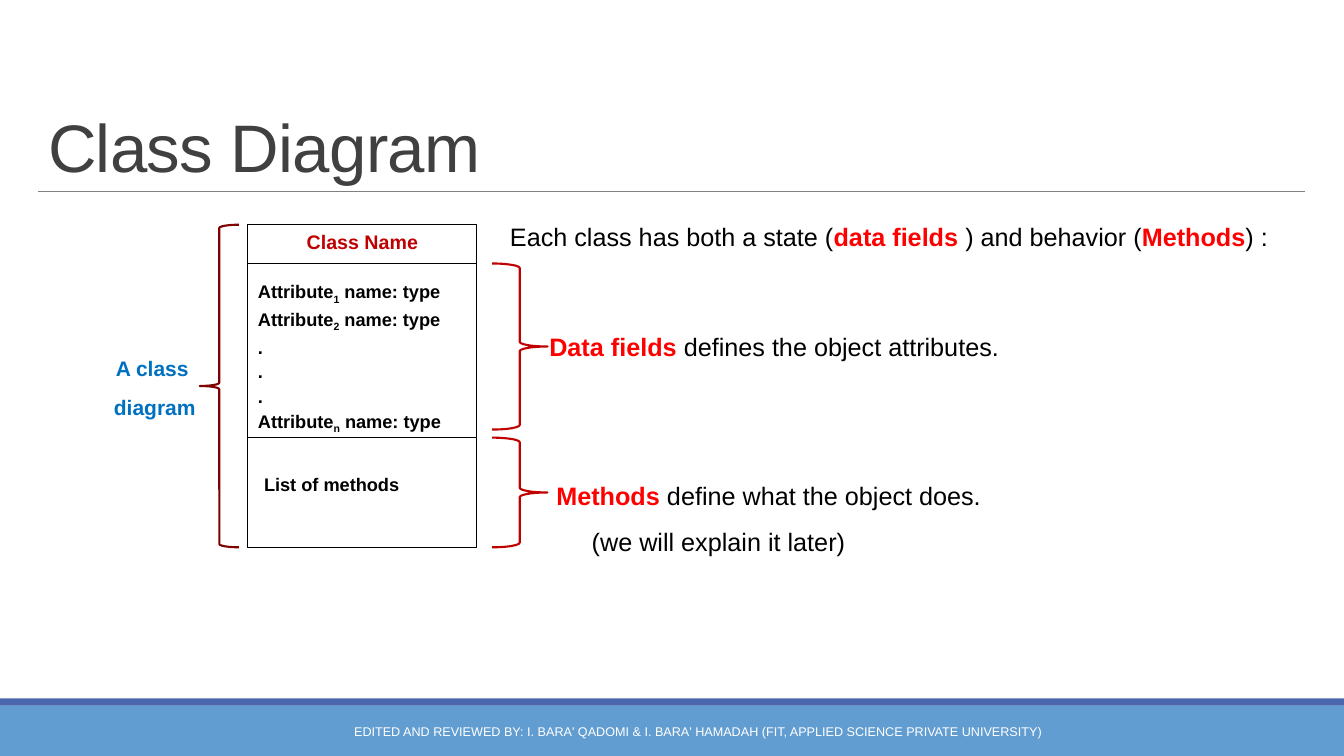
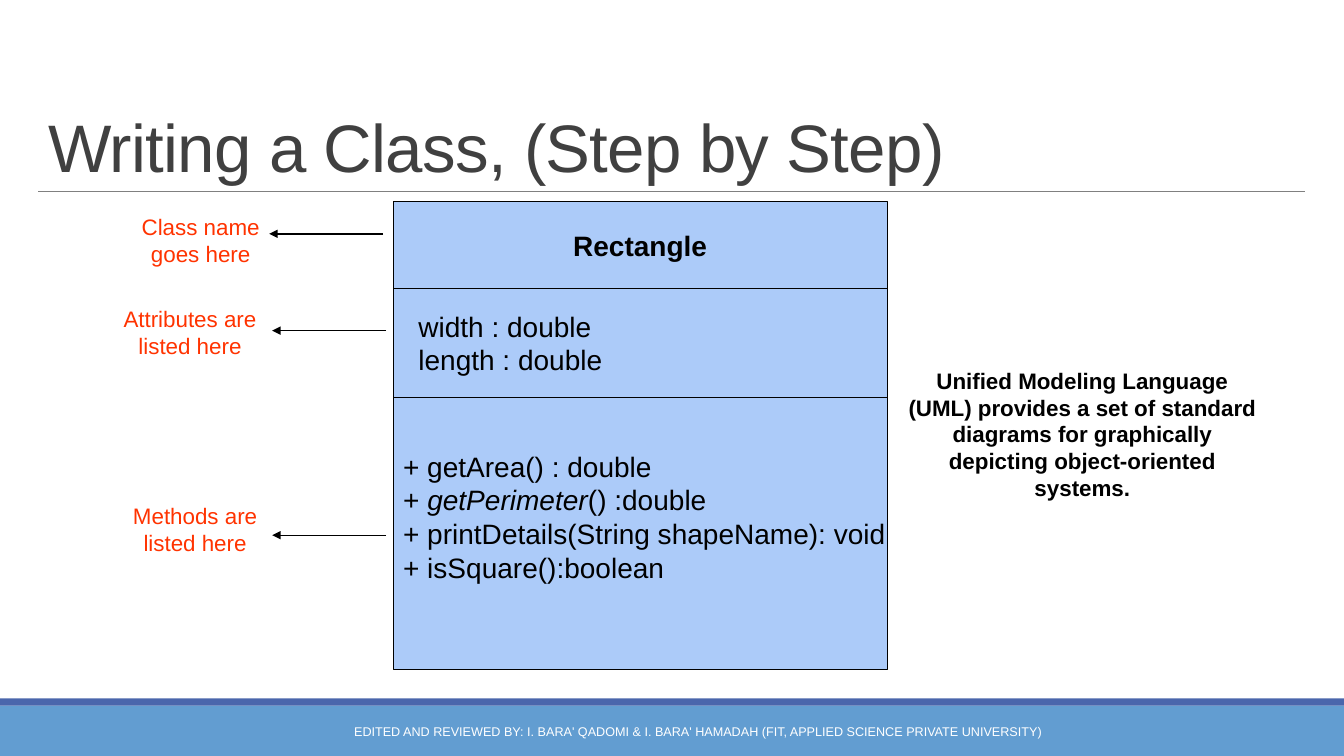
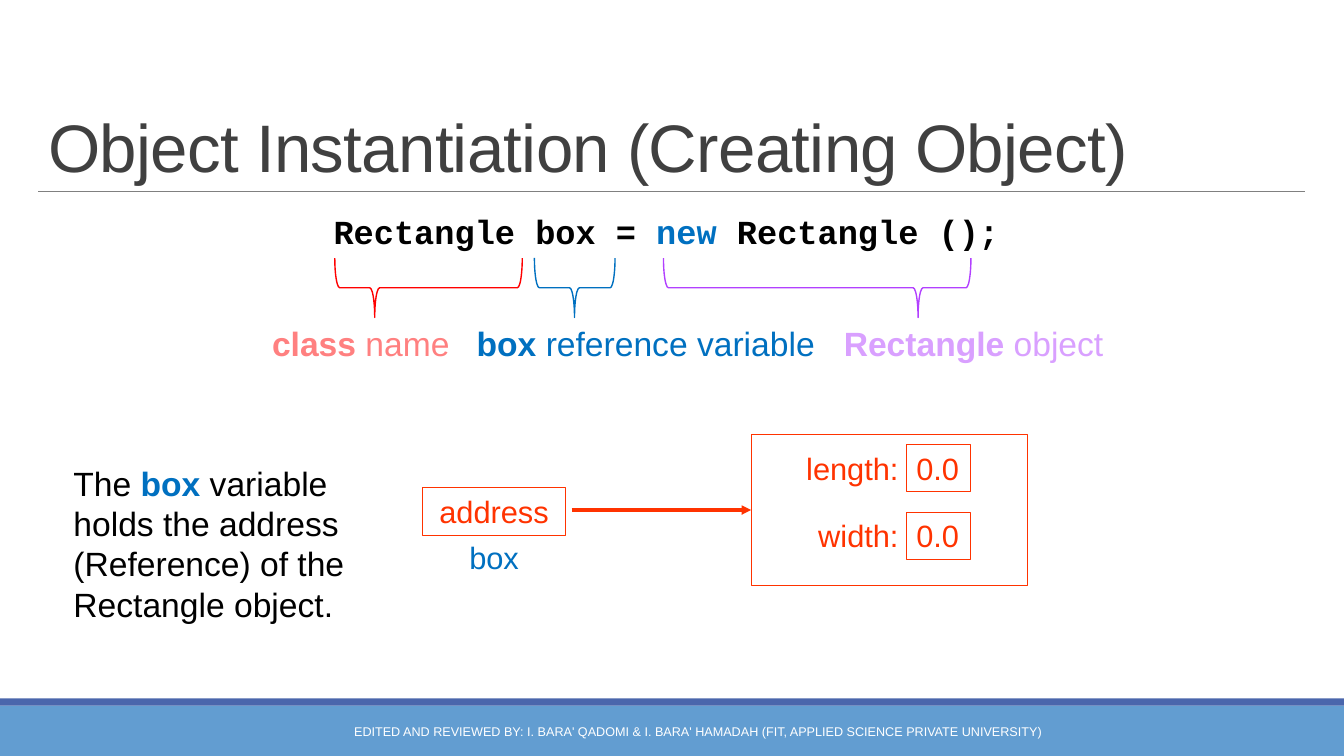
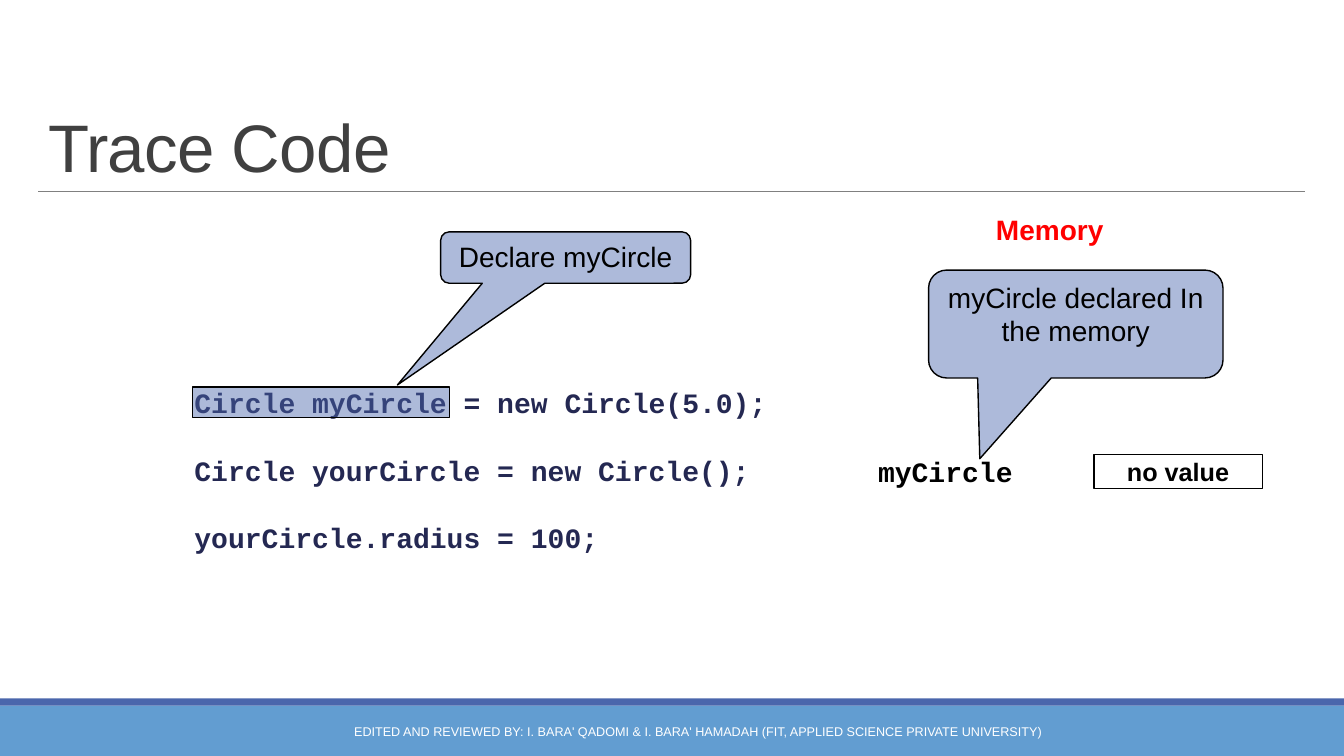
from dataclasses import dataclass

import pptx
import pptx.dml.color
import pptx.enum.shapes
import pptx.enum.text
import pptx.oxml.ns
import pptx.util
from lxml import etree

SHAPE = pptx.enum.shapes.MSO_SHAPE
ALIGN = pptx.enum.text.PP_ALIGN
ANCHOR = pptx.enum.text.MSO_ANCHOR


@dataclass(frozen=True)
class Theme:
    columns: float = 13.33  # the slide grid has cells of one inch
    rows: float = 7.5
    sans: str = "Arial"
    mono: str = "Courier New"
    title_size: int = 48
    footer_size: int = 9
    lead_size: int = 24
    field_size: int = 22
    body_size: int = 20
    note_size: int = 18
    label_size: int = 16
    side_size: int = 15
    name_size: int = 14
    member_size: int = 13
    title: str = "404040"
    rule: str = "808080"
    footer_band: str = "629DD1"
    accent: str = "4A66AC"
    white: str = "FFFFFF"
    black: str = "000000"
    red: str = "FF0000"
    crimson: str = "C00000"
    maroon: str = "800000"
    orange: str = "FF3300"
    pink: str = "FF8080"
    blue: str = "0070C0"
    navy: str = "242852"
    card: str = "ACCBF9"
    callout: str = "ADBADA"
    violet: str = "B240FF"
    lilac: str = "D9A0FF"


THEME = Theme()
FOOTER = ("EDITED AND REVIEWED BY: I. BARA' QADOMI & I. BARA' HAMADAH "
          "(FIT, APPLIED SCIENCE PRIVATE UNIVERSITY)")


@dataclass(frozen=True)
class Box:
    """An area of the slide grid, in columns and rows."""
    left: float
    top: float
    width: float
    height: float

    @property
    def right(self):
        return self.left + self.width

    @property
    def middle(self):
        return self.top + self.height / 2

    def row(self, share):
        return self.top + share * self.height

    def area(self, column, row, width, height):
        return Box(self.left + column, self.top + row, width, height)

    def emu(self):
        return [pptx.util.Inches(n) for n in
                (self.left, self.top, self.width, self.height)]


@dataclass(frozen=True)
class Run:
    """Text that differs from the rest of its paragraph."""
    text: str
    color: str = ""
    bold: bool = False
    italic: bool = False
    subscript: bool = False


def rgb(color):
    return pptx.dml.color.RGBColor.from_string(color)


def write(shape, paragraphs, size, color=THEME.black, font=THEME.sans,
          bold=False, align=ALIGN.LEFT, anchor=ANCHOR.TOP,
          insets=(0.1, 0.05, 0.1, 0.05)):
    """Fill a shape with paragraphs, each a string or a list of runs."""
    frame = shape.text_frame
    frame.word_wrap = True
    frame.vertical_anchor = anchor
    (frame.margin_left, frame.margin_top, frame.margin_right,
     frame.margin_bottom) = [pptx.util.Inches(n) for n in insets]
    for index, content in enumerate(paragraphs):
        paragraph = frame.add_paragraph() if index else frame.paragraphs[0]
        paragraph.alignment = align
        for piece in [content] if isinstance(content, str) else content:
            piece = Run(piece) if isinstance(piece, str) else piece
            run = paragraph.add_run()
            run.text = piece.text
            run.font.name = font
            run.font.size = pptx.util.Pt(size)
            run.font.bold = bold or piece.bold
            run.font.italic = piece.italic
            run.font.color.rgb = rgb(piece.color or color)
            if piece.subscript:
                run.font._element.set("baseline", "-25000")
    return frame


def text(slide, box, paragraphs, size, **style):
    return write(slide.shapes.add_textbox(*box.emu()), paragraphs, size, **style)


def draw(slide, kind, box, fill=None, line=None, weight=0.75, adjust=()):
    shape = slide.shapes.add_shape(kind, *box.emu())
    shape.shadow.inherit = False
    for index, value in enumerate(adjust):
        shape.adjustments[index] = value
    if fill:
        shape.fill.solid()
        shape.fill.fore_color.rgb = rgb(fill)
    else:
        shape.fill.background()
    if line:
        shape.line.color.rgb = rgb(line)
        shape.line.width = pptx.util.Pt(weight)
    else:
        shape.line.fill.background()
    return shape


def connect(slide, start, end, color=THEME.black, weight=0.75, arrow=False):
    line = slide.shapes.add_connector(
        pptx.enum.shapes.MSO_CONNECTOR.STRAIGHT,
        *[pptx.util.Inches(n) for n in (*start, *end)])
    line.line.color.rgb = rgb(color)
    line.line.width = pptx.util.Pt(weight)
    properties = line._element.spPr
    if arrow:
        outline = properties.find(pptx.oxml.ns.qn("a:ln"))
        etree.SubElement(outline, pptx.oxml.ns.qn("a:tailEnd"), type="triangle")
    etree.SubElement(properties, pptx.oxml.ns.qn("a:effectLst"))
    return line


def brace_below(slide, box, color, point):
    """A downward brace; point is its tip as a share, counted from the right."""
    upright = Box(box.left + (box.width - box.height) / 2,
                  box.top + (box.height - box.width) / 2,
                  box.height, box.width)
    brace = draw(slide, SHAPE.RIGHT_BRACE, upright, line=color, weight=1,
                 adjust=(0.083, point))
    brace.rotation = 90


def new_slide(deck, title):
    """Start a slide with its title, rule and footer."""
    slide = deck.slides.add_slide(deck.slide_layouts[6])
    page = Box(0, 0, THEME.columns, THEME.rows)
    draw(slide, SHAPE.RECTANGLE, page.area(0, 7, page.width, 0.5),
         fill=THEME.footer_band)
    draw(slide, SHAPE.RECTANGLE, page.area(0, 6.93, page.width, 0.07),
         fill=THEME.accent)
    heading = page.area(0.38, 0.31, 12.56, 1.59)
    base = heading.row(1)
    connect(slide, (heading.left, base), (heading.right, base), THEME.rule, 0.5)
    frame = text(slide, heading, [title], THEME.title_size, color=THEME.title,
                 anchor=ANCHOR.BOTTOM)
    frame.paragraphs[0].line_spacing = 0.85
    frame.paragraphs[0].runs[0].font._element.set("spc", "-50")
    text(slide, page.area(3.11, 7.06, 7.62, 0.4), [FOOTER], THEME.footer_size,
         color=THEME.white, align=ALIGN.CENTER, anchor=ANCHOR.MIDDLE)
    return slide


def class_outline(slide, box):
    """The general class box, with braces around its sections."""
    def attribute(index):
        return ["Attribute", Run(index, subscript=True), " name: type"]

    outline = draw(slide, SHAPE.RECTANGLE, box, THEME.white, THEME.black)
    frame = write(outline, ["Class Name", attribute("1"), attribute("2"),
                            ".", ".", ".", attribute("n")],
                  THEME.member_size, bold=True)
    for paragraph in frame.paragraphs:
        paragraph.space_after = pptx.util.Pt(2)
    name = frame.paragraphs[0]
    name.alignment = ALIGN.CENTER
    name.space_after = pptx.util.Pt(19.5)
    name.runs[0].font.size = pptx.util.Pt(THEME.name_size)
    name.runs[0].font.color.rgb = rgb(THEME.crimson)

    fields, methods = box.row(0.12), box.row(0.66)
    for y in (fields, methods):
        connect(slide, (box.left, y), (box.right, y))
    text(slide, box.area(0.06, 2.42, 1.62, 0.32), ["List of methods"],
         THEME.member_size, bold=True)
    for top, bottom in ((fields, methods - 0.08), (methods, box.row(1))):
        draw(slide, SHAPE.RIGHT_BRACE,
             Box(box.right + 0.15, top, 0.55, bottom - top),
             line=THEME.crimson, weight=1.5)
    draw(slide, SHAPE.LEFT_BRACE, box.area(-0.48, 0, 0.39, box.height),
         line=THEME.maroon, weight=1.5)
    label = text(slide, box.area(-1.49, 1.25, 1.08, 0.75),
                 ["A class", "diagram"], THEME.side_size, color=THEME.blue,
                 bold=True, align=ALIGN.CENTER)
    for paragraph in label.paragraphs:
        paragraph.space_after = pptx.util.Pt(10)
    label.paragraphs[1]._p.get_or_add_pPr().set(
        "marL", str(pptx.util.Inches(0.05)))


def section_meanings(slide, box):
    def key(words):
        return Run(words, THEME.red, bold=True)

    text(slide, box.area(0, 0, box.width, 0.4),
         [["Each class has both a state (", key("data fields "),
           ") and behavior (", key("Methods"), ") :"]], THEME.note_size)
    text(slide, box.area(0.39, 1.09, 4.7, 0.4),
         [[key("Data fields "), "defines the object attributes."]],
         THEME.note_size)
    methods = text(slide, box.area(0.46, 2.42, 5.39, 0.96),
                   [[key("Methods"), " define what the object does."],
                    "(we will explain it later)"],
                   THEME.note_size, align=ALIGN.JUSTIFY)
    for paragraph in methods.paragraphs:
        paragraph.line_spacing = 1.5
    methods.paragraphs[1]._p.get_or_add_pPr().set(
        "marL", str(pptx.util.Inches(0.35)))


def class_card(slide, box):
    """The Rectangle class in three stacked sections."""
    sections = [
        (0.86, [[Run("Rectangle", bold=True)]], ALIGN.CENTER, 0.1, 0.1, 0.05),
        (1.08, ["width : double", "length : double"],
         ALIGN.LEFT, 0.25, 0, 0.05),
        (2.7, ["+ getArea() : double",
               ["+ ", Run("getPerimeter", italic=True), "() :double"],
               "+ printDetails(String shapeName): void",
               "+ isSquare():boolean"], ALIGN.LEFT, 0.1, 0, 0.38),
    ]
    top = 0
    for height, members, align, left, right, below in sections:
        section = draw(slide, SHAPE.RECTANGLE,
                       box.area(0, top, box.width, height),
                       THEME.card, THEME.black)
        write(section, members, THEME.body_size, align=align,
              anchor=ANCHOR.MIDDLE, insets=(left, 0.05, right, below))
        top += height


def card_labels(slide, box):
    """Labels with arrows that come from the class card on their right."""
    labels = [
        ("Class name goes here", 0.21, 0, 1.42, 0.25, 1.6),
        ("Attributes are listed here", 0, 0.91, 1.63, 0.3, 1.63),
        ("Methods are listed here", 0.14, 2.86, 1.45, 0.38, 1.63),
    ]
    for words, column, row, width, drop, tip in labels:
        text(slide, box.area(column, row, width, 0.64), [words],
             THEME.label_size, color=THEME.orange, align=ALIGN.CENTER)
        x, y = box.left + tip, box.top + row + drop
        connect(slide, (x + 1.13, y), (x, y), weight=1, arrow=True)


def statement(slide, box):
    """A line of code whose parts are named under braces."""
    text(slide, box.area(0.61, 0, 6.89, 0.75),
         [["Rectangle box = ", Run("new", THEME.blue), " Rectangle ();"]],
         THEME.lead_size, font=THEME.mono, bold=True)
    terms = [
        ("class", " name", THEME.pink, 0, 2.11, THEME.red, 0.72, 1.86, 0.787),
        ("box", " reference variable", THEME.blue, 2.03, 3.57,
         THEME.blue, 2.7, 0.8, 0.503),
        ("Rectangle", " object", THEME.lilac, 5.67, 2.88,
         THEME.violet, 3.98, 3.05, 0.172),
    ]
    for key, rest, color, column, width, line, start, span, point in terms:
        brace_below(slide, box.area(start, 0.52, span, 0.59), line, point)
        text(slide, box.area(column, 1.11, width, 0.5),
             [[Run(key, bold=True), rest]], THEME.lead_size, color=color)


def reference(slide, box):
    """A variable that holds the address of an object with two fields."""
    style = dict(size=THEME.field_size, color=THEME.orange)
    field_height = 0.47
    variable = box.area(0, 0.53, 1.42, field_height)
    write(draw(slide, SHAPE.RECTANGLE, variable, line=THEME.orange),
          ["address"], align=ALIGN.CENTER, **style)
    text(slide, variable.area(0, 0.46, variable.width, field_height), ["box"],
         THEME.field_size, color=THEME.blue, align=ALIGN.CENTER)

    target = box.area(3.26, 0, 2.74, box.height)
    instance = draw(slide, SHAPE.RECTANGLE, target, line=THEME.orange)
    pointer = connect(slide, (variable.right + 0.06, target.middle),
                      (target.left, target.middle), THEME.orange, 2.25, True)
    pointer.end_connect(instance, 1)
    for index, name in enumerate(("length:", "width:")):
        row = 0.1 + index * 0.67
        value = draw(slide, SHAPE.RECTANGLE,
                     target.area(1.54, row, 0.64, field_height),
                     line=THEME.orange)
        write(value, ["0.0"], insets=(0.1, 0.05, 0, 0.05), **style)
        text(slide, target.area(0.14, row, 1.42, field_height), [name],
             align=ALIGN.RIGHT, **style)


def callout(slide, box, words, tip):
    bubble = draw(slide, SHAPE.ROUNDED_RECTANGULAR_CALLOUT, box, THEME.callout,
                  THEME.black, 1, (*tip, 0.167))
    write(bubble, [words], THEME.body_size, align=ALIGN.CENTER)


def traced_code(slide, box):
    """Code with its first declaration marked and explained."""
    code = text(slide, box, ["Circle myCircle = new Circle(5.0);",
                             "Circle yourCircle = new Circle();",
                             "yourCircle.radius = 100;"],
                THEME.body_size, color=THEME.navy, font=THEME.mono, bold=True)
    for paragraph in code.paragraphs[1:]:
        paragraph.space_before = pptx.util.Pt(24)
    callout(slide, box.area(2.54, -1.48, 2.48, 0.51), "Declare myCircle",
            (-0.673, 2.48))
    marker = draw(slide, SHAPE.RECTANGLE, box.area(0.08, 0.06, 2.55, 0.3),
                  THEME.accent, THEME.black, 1)
    color = marker._element.spPr.find(".//" + pptx.oxml.ns.qn("a:srgbClr"))
    etree.SubElement(color, pptx.oxml.ns.qn("a:alpha"), val="45000")


def memory(slide, box):
    value = draw(slide, SHAPE.RECTANGLE, box.area(2.24, 2.45, 1.67, 0.34),
                 line=THEME.black, weight=1)
    write(value, ["no value"], THEME.note_size, bold=True, align=ALIGN.CENTER,
          anchor=ANCHOR.MIDDLE, insets=(0.01,) * 4)
    text(slide, box.area(0, 2.4, 1.75, 0.44), ["myCircle"], THEME.body_size,
         font=THEME.mono, bold=True)
    text(slide, box.area(1.17, 0, 1.75, 0.44), ["Memory"], THEME.body_size,
         color=THEME.red, bold=True)
    callout(slide, box.area(0.6, 0.62, 2.92, 1.07),
            "myCircle declared In the memory", (-0.326, 1.249))


def main():
    deck = pptx.Presentation()
    deck.slide_width = pptx.util.Inches(THEME.columns)
    deck.slide_height = pptx.util.Inches(THEME.rows)

    slide = new_slide(deck, "Class Diagram")
    class_outline(slide, Box(2.46, 2.23, 2.27, 3.2))
    section_meanings(slide, Box(4.96, 2.15, 7.86, 3.38))

    slide = new_slide(deck, "Writing a Class, (Step by Step)")
    class_card(slide, Box(3.9, 2, 4.9, 4.64))
    card_labels(slide, Box(1.07, 2.07, 2.76, 3.5))
    text(slide, Box(8.9, 3.59, 3.67, 1.45),
         ["Unified Modeling Language (UML) provides a set of standard diagrams "
          "for graphically depicting object-oriented systems."],
         THEME.label_size, bold=True, align=ALIGN.CENTER)

    slide = new_slide(deck, "Object Instantiation (Creating Object)")
    statement(slide, Box(2.6, 2.04, 8.55, 1.61))
    text(slide, Box(0.63, 4.54, 3.19, 1.72),
         [["The ", Run("box", THEME.blue, bold=True),
           " variable holds the address (Reference) of the Rectangle object."]],
         THEME.lead_size)
    reference(slide, Box(4.19, 4.31, 6, 1.5))

    slide = new_slide(deck, "Trace Code")
    traced_code(slide, Box(1.83, 3.78, 6.02, 1.78))
    memory(slide, Box(8.61, 2.06, 3.91, 2.84))

    deck.save("out.pptx")


if __name__ == "__main__":
    main()
